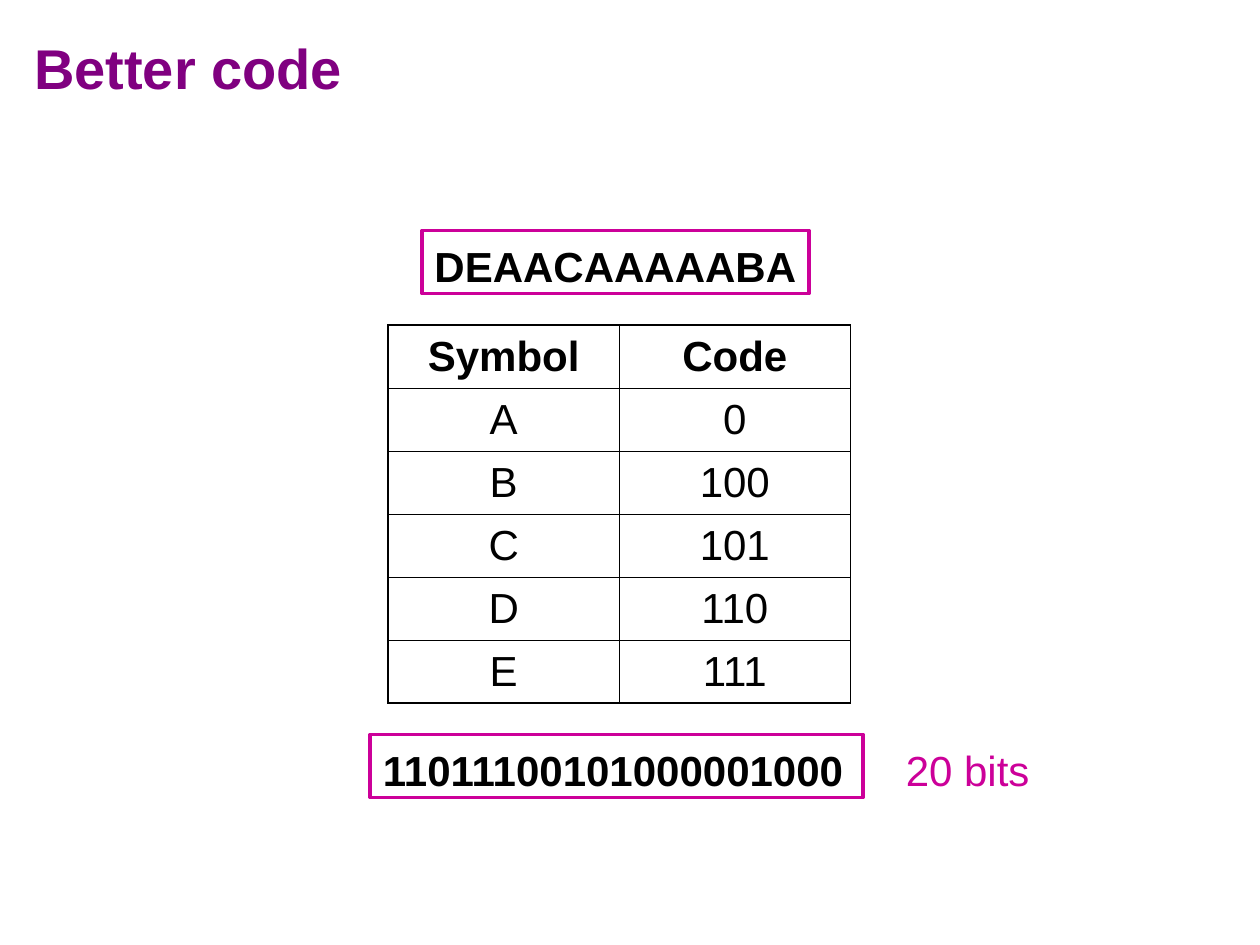
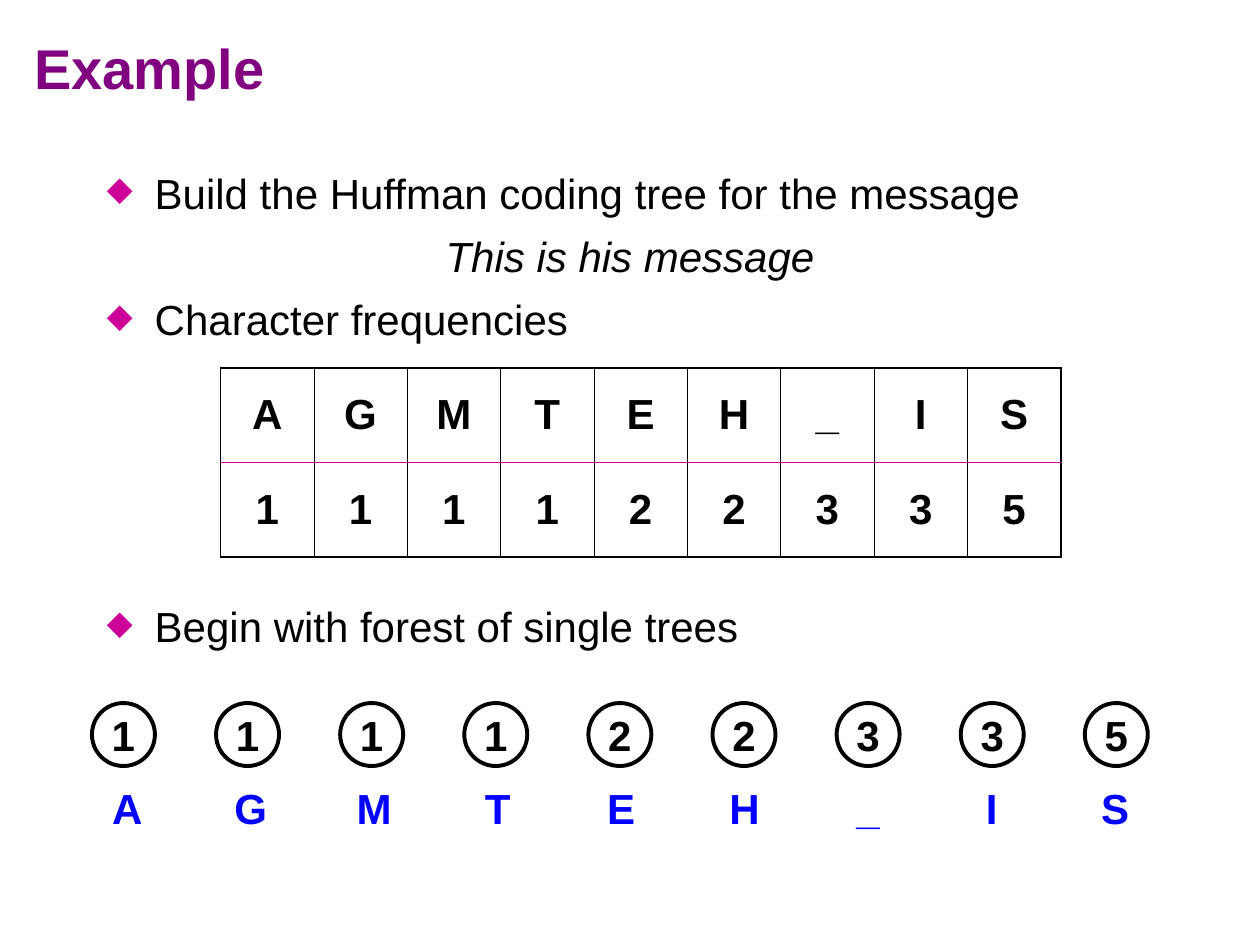
from dataclasses import dataclass
from lxml.etree import SubElement
from pptx import Presentation
from pptx.dml.color import RGBColor
from pptx.enum.shapes import MSO_SHAPE as SHAPE
from pptx.enum.text import MSO_ANCHOR as ANCHOR, PP_ALIGN as ALIGN
from pptx.oxml.ns import qn
from pptx.util import Inches, Pt

FONT = "Arial"
BLACK, PURPLE, MAGENTA, BLUE = "000000", "800080", "CC0099", "0000FF"
THIN, THICK = 0.45, 1.08
SYMBOLS = "AGMTEH_IS"
COUNTS = "111122335"


@dataclass
class Label:
    text: str
    left: float
    top: float
    width: float
    height: float = 0.5
    color: str = BLACK
    bold: bool = True
    outline: str = ""
    shape: SHAPE = SHAPE.RECTANGLE
    align: ALIGN = ALIGN.LEFT
    anchor: ANCHOR = ANCHOR.TOP


@dataclass
class Grid:
    rows: list
    left: float
    top: float
    width: float
    row_height: float
    bold_rows: int
    divider: tuple = (BLACK, THIN)


@dataclass
class Item:
    text: str
    bullet: bool = True
    space_before: float = 7.25


def rgb(color: str) -> RGBColor:
    return RGBColor.from_string(color)


def style(p, size: float, color: str, bold: bool = False, italic: bool = False) -> None:
    for r in p.runs:
        r.font.name = FONT
        r.font.size = Pt(size)
        r.font.bold = bold
        r.font.italic = italic
        r.font.color.rgb = rgb(color)


def add_titled_slide(prs, title: str):
    s = prs.slides.add_slide(prs.slide_layouts[5])
    sp = s.shapes.title
    sp.left, sp.top, sp.width, sp.height = map(Inches, (0.17, 0.04, 9.67, 0.92))
    tf = sp.text_frame
    tf.text = title
    tf.vertical_anchor = ANCHOR.MIDDLE
    tf.margin_top = Inches(0.12)
    p = tf.paragraphs[0]
    p.alignment = ALIGN.LEFT
    style(p, 32, PURPLE, bold=True)
    return s


def add_label(s, label: Label) -> None:
    place = map(Inches, (label.left, label.top, label.width, label.height))
    if label.outline:
        sp = s.shapes.add_shape(label.shape, *place)
        sp.shadow.inherit = False
        sp.fill.background()
        sp.line.color.rgb = rgb(label.outline)
        sp.line.width = Pt(2.25)
    else:
        sp = s.shapes.add_textbox(*place)
    tf = sp.text_frame
    tf.text = label.text
    tf.word_wrap = False
    tf.vertical_anchor = label.anchor
    if label.anchor == ANCHOR.TOP:
        tf.margin_top = Inches(0.08)
        tf.margin_bottom = Inches(0.02)
    p = tf.paragraphs[0]
    p.alignment = label.align
    style(p, 24, label.color, label.bold)


def set_border(cell, side: str, color: str, width: float) -> None:
    ln = SubElement(cell._tc.get_or_add_tcPr(), qn(f"a:ln{side}"), w=str(int(Pt(width))))
    SubElement(SubElement(ln, qn("a:solidFill")), qn("a:srgbClr"), val=color)


def add_grid(s, grid: Grid) -> None:
    n_rows, n_cols = len(grid.rows), len(grid.rows[0])
    frame = s.shapes.add_table(n_rows, n_cols, Inches(grid.left), Inches(grid.top),
                               Inches(grid.width), Inches(grid.row_height * n_rows))
    table = frame.table
    table.first_row = table.horz_banding = False
    outer, inner = (BLACK, THICK), (BLACK, THIN)
    for i, row in enumerate(grid.rows):
        for j, text in enumerate(row):
            cell = table.cell(i, j)
            set_border(cell, "L", *(outer if j == 0 else inner))
            set_border(cell, "R", *(outer if j == n_cols - 1 else inner))
            set_border(cell, "T", *(outer if i == 0 else grid.divider))
            set_border(cell, "B", *(outer if i == n_rows - 1 else grid.divider))
            cell.fill.background()
            cell.vertical_anchor = ANCHOR.MIDDLE
            cell.text = text
            p = cell.text_frame.paragraphs[0]
            p.alignment = ALIGN.CENTER
            style(p, 24, BLACK, bold=i < grid.bold_rows)


def add_items(s, items: list[Item]) -> None:
    sp = s.shapes.add_textbox(*map(Inches, (0.75, 1.25, 8.5, 5.75)))
    tf = sp.text_frame
    tf.word_wrap = True
    tf.margin_top = Inches(0.08)
    for i, item in enumerate(items):
        p = tf.add_paragraph() if i else tf.paragraphs[0]
        p.text = item.text
        pPr = p._p.get_or_add_pPr()
        pPr.set("marL", str(Inches(0.38)))
        pPr.set("indent", str(-Inches(0.38)))
        if item.bullet:
            SubElement(SubElement(pPr, qn("a:buClr")), qn("a:srgbClr"), val=MAGENTA)
            SubElement(pPr, qn("a:buSzPct"), val="80000")
            SubElement(pPr, qn("a:buChar"), char="◆")
        else:
            p.alignment = ALIGN.CENTER
        if i:
            p.space_before = Pt(item.space_before)
        style(p, 24, BLACK, italic=not item.bullet)


def build_better_code(prs) -> None:
    s = add_titled_slide(prs, "Better code")
    codes = [("Symbol", "Code"), ("A", "0"), ("B", "100"),
             ("C", "101"), ("D", "110"), ("E", "111")]
    add_grid(s, Grid(codes, 3.08, 2.58, 3.67, 0.5, bold_rows=1))
    for label in (
        Label("DEAACAAAAABA", 3.35, 1.83, 3.07, outline=MAGENTA),
        Label("11011100101000001000", 2.94, 5.83, 3.91, outline=MAGENTA),
        Label("20 bits", 7.09, 5.83, 1.18, color=MAGENTA, bold=False),
    ):
        add_label(s, label)


def build_example(prs) -> None:
    s = add_titled_slide(prs, "Example")
    add_items(s, [
        Item("Build the Huffman coding tree for the message"),
        Item("This is his message", bullet=False),
        Item("Character frequencies"),
        Item("Begin with forest of single trees", space_before=146.7),
    ])
    add_grid(s, Grid([SYMBOLS, COUNTS], 1.75, 2.92, 6.67, 0.75, bold_rows=2,
                     divider=(MAGENTA, THICK)))
    node_pitch = (8.61 - 0.73) / (len(SYMBOLS) - 1)
    for i, (symbol, count) in enumerate(zip(SYMBOLS, COUNTS)):
        add_label(s, Label(count, 0.73 + i * node_pitch, 5.58, 0.5, outline=BLACK,
                           shape=SHAPE.FLOWCHART_CONNECTOR,
                           align=ALIGN.CENTER, anchor=ANCHOR.MIDDLE))
        add_label(s, Label(symbol, 0.76 + i * 0.98, 6.13, 0.5, color=BLUE,
                           align=ALIGN.CENTER))


def main() -> None:
    prs = Presentation()
    prs.slide_width, prs.slide_height = Inches(10), Inches(7.5)
    build_better_code(prs)
    build_example(prs)
    prs.save("out.pptx")


if __name__ == "__main__":
    main()
